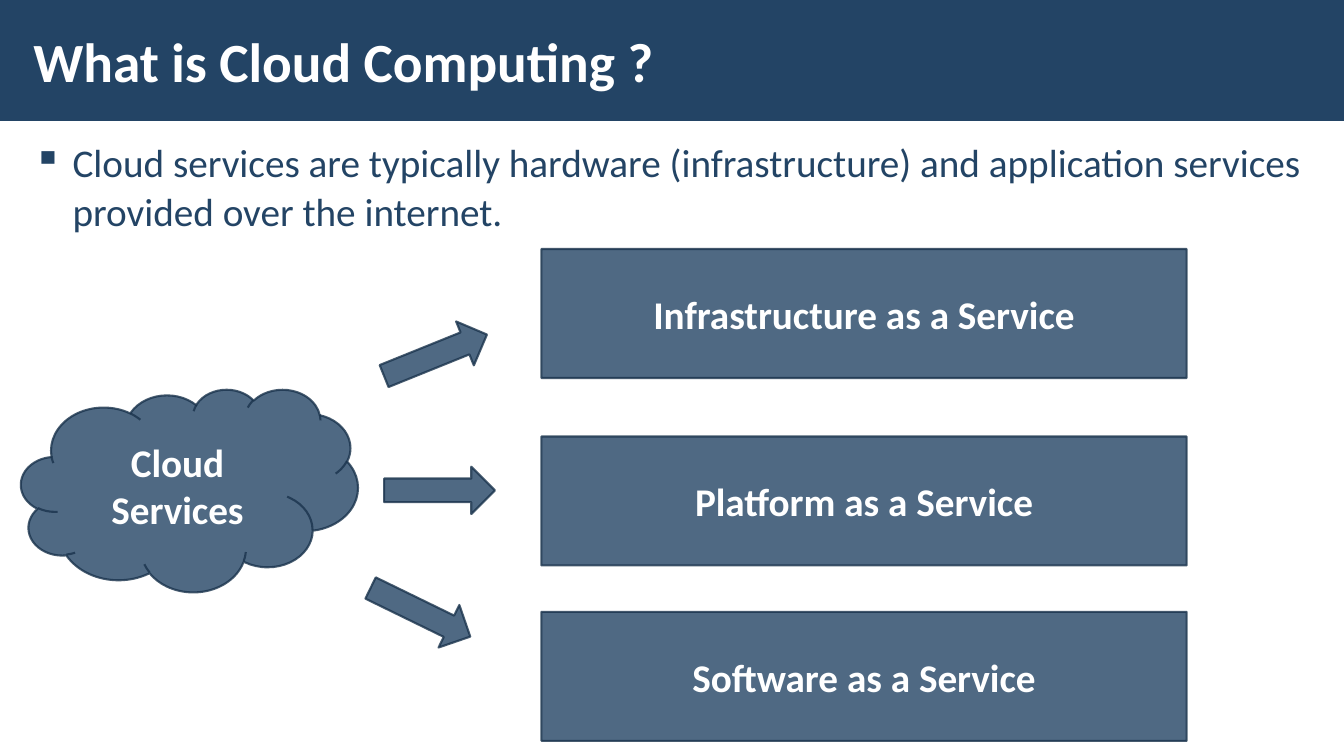
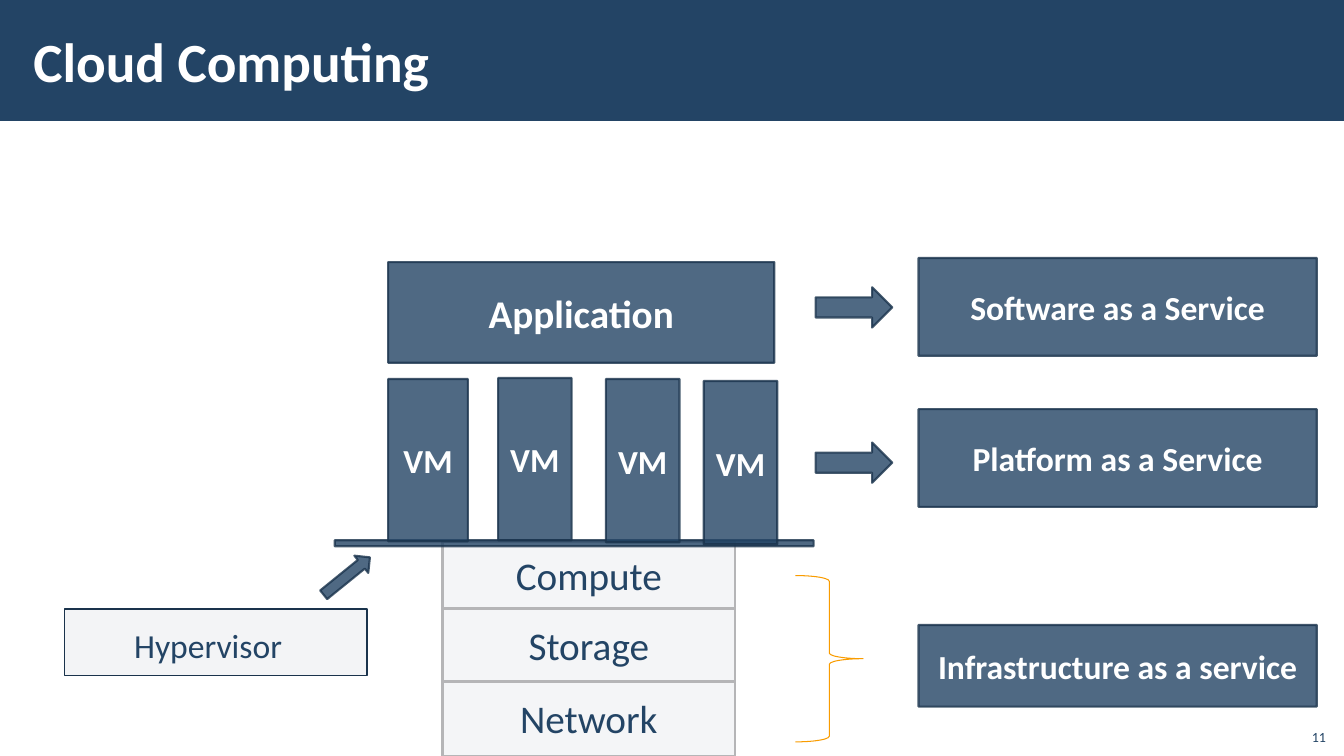
import lxml.etree
import pptx
import pptx.util
import pptx.dml.color
import pptx.enum.shapes
import pptx.enum.text
import pptx.oxml.ns

Inches = pptx.util.Inches
Pt = pptx.util.Pt
SHAPE = pptx.enum.shapes.MSO_SHAPE
ALIGN = pptx.enum.text.PP_ALIGN
ANCHOR = pptx.enum.text.MSO_ANCHOR
qn = pptx.oxml.ns.qn

FONT = "Calibri"
NAVY, EDGE, WHITE = "234465", "1A334C", "FFFFFF"
PALE, GREY, ORANGE, MIST = "F4F5F7", "B5B5B7", "F99C00", "F3F4F6"


def rgb(value):
    return pptx.dml.color.RGBColor.from_string(value)


def add_shape(s, kind, box, text="", size=28, fill=NAVY, line=EDGE, width=1.5,
              opacity=80, color=WHITE, bold=True, rotation=0):
    """Add a filled, outlined preset shape with centred text."""
    sp = s.shapes.add_shape(kind, *(Inches(v) for v in box))
    sp.shadow.inherit = False
    sp.rotation = rotation
    if fill:
        sp.fill.solid()
        sp.fill.fore_color.rgb = rgb(fill)
    else:
        sp.fill.background()
    if line:
        sp.line.color.rgb = rgb(line)
        sp.line.width = Pt(width)
    else:
        sp.line.fill.background()
    if opacity < 100:
        for clr in sp.element.spPr.findall(".//" + qn("a:srgbClr")):
            lxml.etree.SubElement(clr, qn("a:alpha"), val=str(opacity * 1000))
    if text:
        tf = sp.text_frame
        tf.word_wrap = True
        tf.vertical_anchor = ANCHOR.MIDDLE
        p = tf.paragraphs[0]
        p.text = text
        p.alignment = ALIGN.CENTER
        p.font.name, p.font.size, p.font.bold = FONT, Pt(size), bold
        p.font.color.rgb = rgb(color)
    return sp


prs = pptx.Presentation()
prs.slide_width, prs.slide_height = Inches(13.33), Inches(7.5)

# Shared layout: title position
layout = prs.slide_layouts[5]
title = layout.placeholders[0]
title.left, title.top = Inches(0.21), Inches(0.11)
title.width, title.height = Inches(10.63), Inches(0.97)

# Slides with their titles
slides = []
for text in ("What is Cloud Computing ?", "Cloud Computing"):
    s = prs.slides.add_slide(layout)
    tf = s.shapes.title.text_frame
    tf.auto_size = pptx.enum.text.MSO_AUTO_SIZE.NONE
    tf.vertical_anchor = ANCHOR.MIDDLE
    tf.margin_left = tf.margin_right = Inches(0.12)
    tf.margin_top = tf.margin_bottom = Inches(0.04)
    p = tf.paragraphs[0]
    p.text = text
    p.alignment = ALIGN.LEFT
    p.font.name, p.font.size, p.font.bold = FONT, Pt(39.5), True
    p.font.color.rgb = rgb(WHITE)
    slides.append(s)

# Title band, moved to the back of the shared layout
band = add_shape(slides[0], SHAPE.RECTANGLE, (0, 0, 13.33, 1.2), line=None, opacity=100)
layout.element.cSld.spTree.insert(2, band.element)

# Slide 1: bulleted statement
s = slides[0]
tb = s.shapes.add_textbox(Inches(0.21), Inches(1.31), Inches(12.92), Inches(1.1))
tf = tb.text_frame
tf.word_wrap = True
tf.margin_left = tf.margin_right = Inches(0.12)
tf.margin_top = tf.margin_bottom = Inches(0.04)
p = tf.paragraphs[0]
p.text = ("Cloud services are typically hardware (infrastructure) and "
          "application services provided over the internet.")
p.line_spacing = 1.05
p.space_before = p.space_after = Pt(6)
p.font.name, p.font.size = FONT, Pt(28)
p.font.color.rgb = rgb(NAVY)
pPr = p._p.get_or_add_pPr()
pPr.set("marL", str(Inches(0.39)))
pPr.set("indent", str(-Inches(0.39)))
bullet = lxml.etree.Element(qn("a:buChar"), char="▪")
pPr.find(qn("a:defRPr")).addprevious(bullet)

# Slide 1: cloud, service boxes and arrows
add_shape(s, SHAPE.CLOUD, (0.21, 3.86, 3.34, 2.01), "Cloud Services")
for name, top in (("Infrastructure", 2.47), ("Platform", 4.33), ("Software", 6.07)):
    add_shape(s, SHAPE.RECTANGLE, (5.37, top, 6.4, 1.28), f"{name} as a Service")
for left, top, angle in ((3.77, 3.29, 338), (3.81, 4.63, 0), (3.62, 5.84, 26)):
    add_shape(s, SHAPE.RIGHT_ARROW, (left, top, 1.1, 0.47), rotation=angle)

# Slide 2: page number
s = slides[1]
tb = s.shapes.add_textbox(Inches(12.85), Inches(7.12), Inches(0.4), Inches(0.32))
tf = tb.text_frame
tf.word_wrap = True
tf.vertical_anchor = ANCHOR.BOTTOM
p = tf.paragraphs[0]
p.text = "11"
p.alignment = ALIGN.RIGHT
p.font.name, p.font.size = FONT, Pt(10)
p.font.color.rgb = rgb(NAVY)

# Slide 2: hardware layers, from the bottom up
for name, top, height in (("Network", 6.75, 0.75), ("Storage", 6.04, 0.72),
                          ("Compute", 5.37, 0.67)):
    add_shape(s, SHAPE.RECTANGLE, (4.39, top, 2.9, height), name, fill=PALE,
              line=GREY, width=2, opacity=100, color=NAVY, bold=False)
add_shape(s, SHAPE.RIGHT_BRACE, (7.89, 5.71, 0.67, 1.65), fill=None,
          line=ORANGE, width=0.75, opacity=100)

# Slide 2: hypervisor bar, label and pointer
add_shape(s, SHAPE.RECTANGLE, (3.32, 5.36, 4.75, 0.06))
label = add_shape(s, SHAPE.RECTANGLE, (0.64, 6.04, 3, 0.66), "Hypervisor", 24,
                  fill=MIST, width=1, opacity=100, color=NAVY, bold=False)
tf = label.text_frame
tf.vertical_anchor = ANCHOR.TOP
tf.margin_left, tf.margin_top = Inches(0.69), Inches(0.12)
tf.margin_right, tf.margin_bottom = Inches(0.16), Inches(0.12)
tf.paragraphs[0].alignment = ALIGN.LEFT
tf.paragraphs[0].line_spacing = 1.1
add_shape(s, SHAPE.UP_ARROW, (3.33, 5.42, 0.22, 0.59), rotation=51)

# Slide 2: virtual machines and application
for left, top, width, height in ((3.85, 3.76, 0.79, 1.61), (4.94, 3.75, 0.73, 1.61),
                                 (6.01, 3.76, 0.73, 1.62), (6.98, 3.78, 0.73, 1.62)):
    add_shape(s, SHAPE.RECTANGLE, (left, top, width, height), "VM", 24)
add_shape(s, SHAPE.RECTANGLE, (3.85, 2.6, 3.83, 1), "Application")

# Slide 2: service models and arrows
for text, top, height in (("Infrastructure as a service", 6.2, 0.81),
                          ("Platform as a Service", 4.06, 0.97),
                          ("Software as a Service", 2.56, 0.97)):
    add_shape(s, SHAPE.RECTANGLE, (9.11, top, 3.95, height), text, 24)
for top in (4.39, 2.85):
    add_shape(s, SHAPE.RIGHT_ARROW, (8.09, top, 0.76, 0.4))

prs.save("out.pptx")
